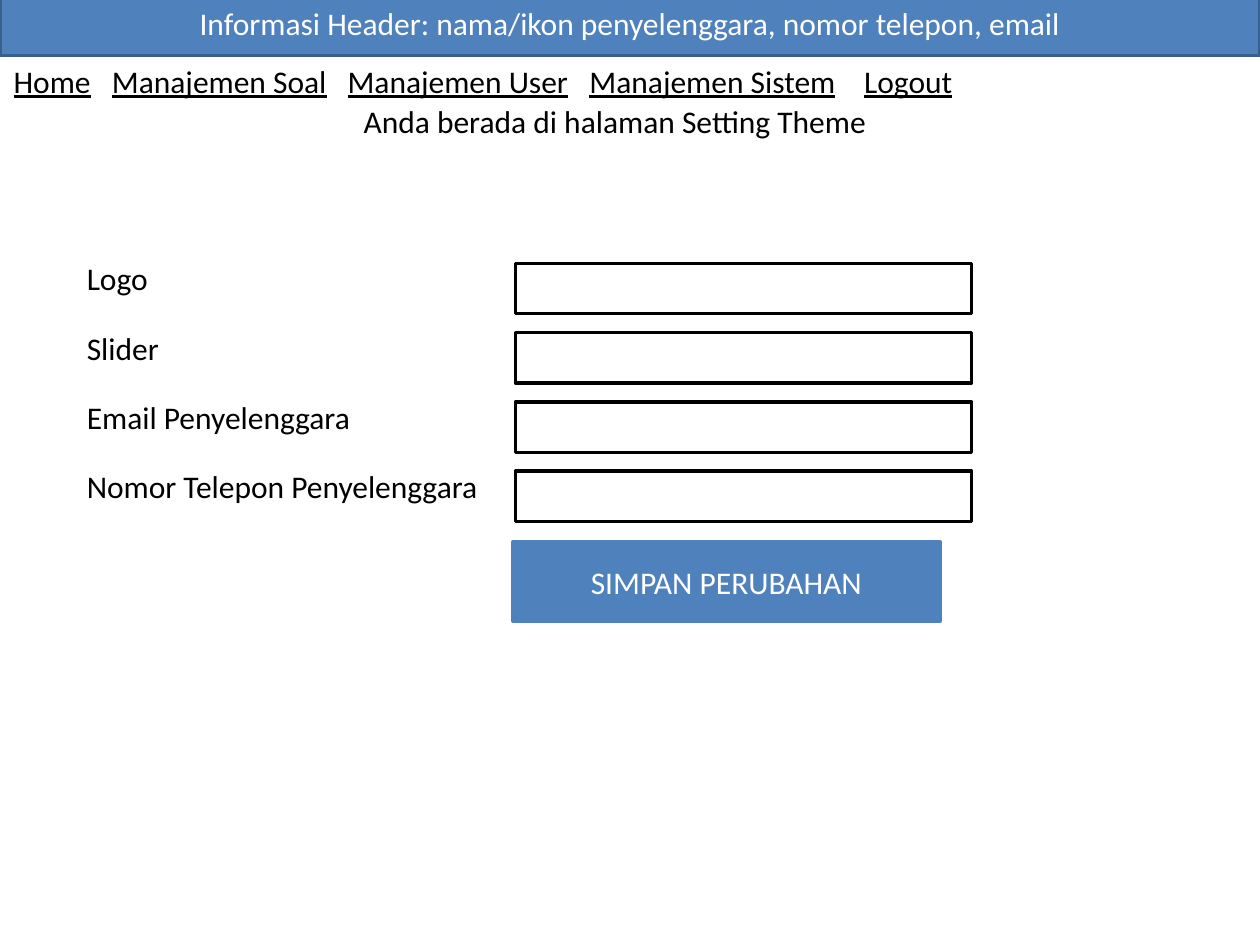
from lxml import etree
from pptx import Presentation
from pptx import util as u
from pptx.dml.color import RGBColor
from pptx.enum import shapes, text
from pptx.oxml.ns import qn

COLUMNS, ROWS = 100, 75
MENU = [("Home", 0), ("Manajemen Soal", 7.8), ("Manajemen User", 26.5),
        ("Manajemen Sistem", 45.7), ("Logout", 67.5)]
FIELDS = [("Logo", 22.8), ("Slider", 22.8), ("Email Penyelenggara", 25.2),
          ("Nomor Telepon Penyelenggara", 33.9)]


def color(hex_value):
    return RGBColor.from_string(hex_value)


def write(frame, content, ink="000000", align=text.PP_ALIGN.LEFT,
          anchor=text.MSO_ANCHOR.TOP, underline=False):
    """Add content to the frame's first paragraph; call again to append runs."""
    frame.word_wrap = True
    frame.auto_size = text.MSO_AUTO_SIZE.NONE
    frame.vertical_anchor = anchor
    paragraph = frame.paragraphs[0]
    paragraph.alignment = align
    run = paragraph.add_run()
    run.text = content
    run.font.name = "Calibri"
    run.font.size = u.Pt(18)
    run.font.color.rgb = color(ink)
    run.font.underline = underline


class FormPage:
    BLUE, BLACK, WHITE = "4F81BD", "000000", "FFFFFF"
    CENTER = text.PP_ALIGN.CENTER

    def __init__(self, deck):
        self.slide = deck.slides.add_slide(deck.slide_layouts[5])
        self.cell_width = deck.slide_width / COLUMNS
        self.cell_height = deck.slide_height / ROWS

    def place(self, column, row, columns, rows):
        return [round(column * self.cell_width), round(row * self.cell_height),
                round(columns * self.cell_width), round(rows * self.cell_height)]

    def title(self, content, *area):
        heading = self.slide.shapes.title
        heading.left, heading.top, heading.width, heading.height = self.place(*area)
        write(heading.text_frame, content, align=self.CENTER)

    def label(self, content, *area):
        caption = self.slide.shapes.add_textbox(*self.place(*area))
        write(caption.text_frame, content)

    def menu(self, items, *area):
        """Put underlined items on one line, each at its own tab stop."""
        frame = self.slide.shapes.add_textbox(*self.place(*area)).text_frame
        stops = etree.SubElement(frame.paragraphs[0]._p.get_or_add_pPr(), qn("a:tabLst"))
        for item, column in items:
            if column:
                etree.SubElement(stops, qn("a:tab"), algn="l",
                                 pos=str(round(column * self.cell_width)))
                write(frame, "\t")
            write(frame, item, underline=True)

    def box(self, *area, fill=WHITE, line=BLACK, content=None):
        panel = self.slide.shapes.add_shape(shapes.MSO_SHAPE.RECTANGLE, *self.place(*area))
        panel.shadow.inherit = False
        panel.fill.solid()
        panel.fill.fore_color.rgb = color(fill)
        panel.line.color.rgb = color(line)
        panel.line.width = u.Pt(2)
        if content:
            write(panel.text_frame, content, self.WHITE, self.CENTER, text.MSO_ANCHOR.MIDDLE)


def main():
    deck = Presentation()
    deck.slide_width, deck.slide_height = u.Inches(10), u.Inches(7.5)
    page = FormPage(deck)

    page.title("Anda berada di halaman Setting Theme", 5.9, 7.6, 85.8, 4)
    page.menu(MENU, 0.1, 4.4, 99.9, 4)
    page.box(0, -0.8, 100, 5.2, fill=page.BLUE, line="3A5F8C",
             content="Informasi Header: nama/ikon penyelenggara, nomor telepon, email")

    for index, (field, width) in enumerate(FIELDS):
        row = 20.1 + 5.5 * index
        page.label(field, 5.9, row, width, 4)
        page.box(40.9, row + 0.8, 36.2, 4)

    page.box(40.7, 43, 33.9, 6.3, fill=page.BLUE, line=page.BLUE,
             content="SIMPAN PERUBAHAN")
    deck.save("out.pptx")


if __name__ == "__main__":
    main()
